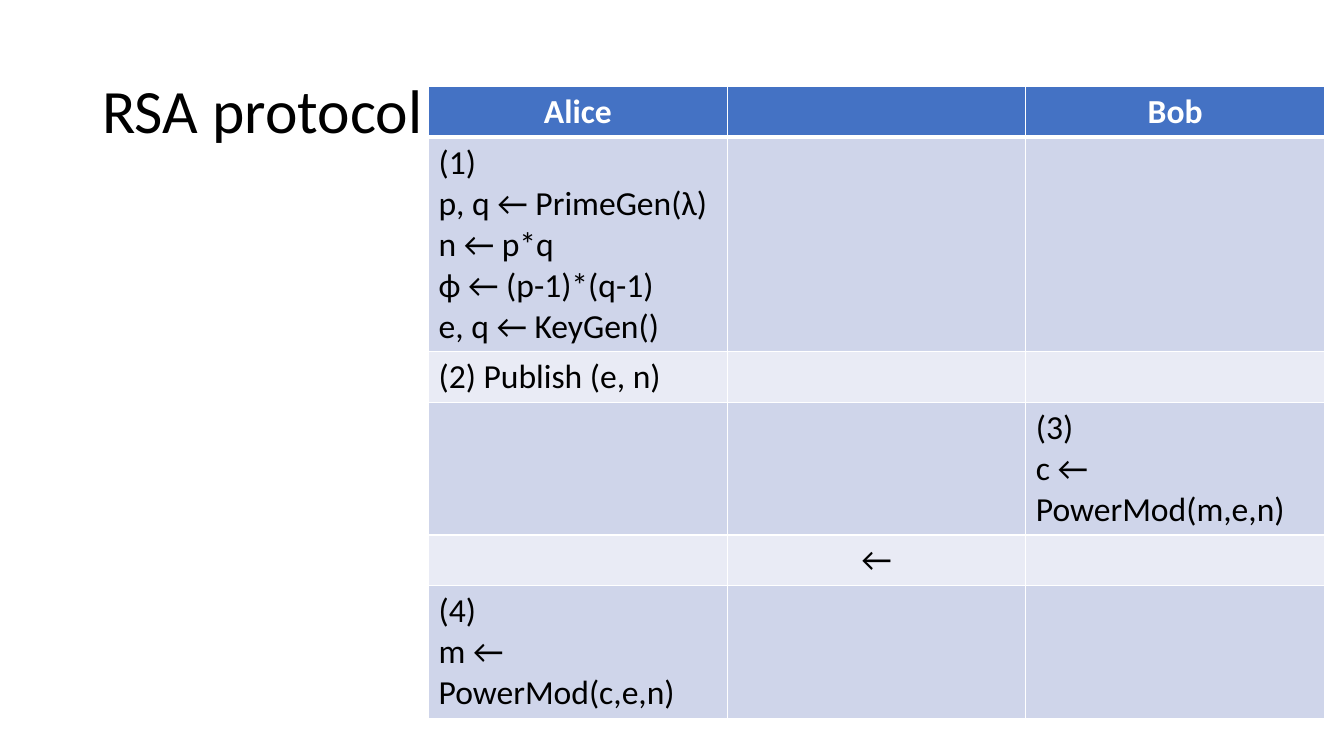
from lxml.etree import SubElement
from pptx import Presentation
from pptx.dml.color import RGBColor as RGB
from pptx.enum.text import MSO_ANCHOR as Anchor, PP_ALIGN as Align
from pptx.oxml.ns import qn
from pptx.util import Cm, Pt

FONT = "Calibri"
COLORS = {"text": "000000", "white": "FFFFFF", "header": "4472C4",
          "band_dark": "CFD5EA", "band_light": "E9EBF5"}
LINE_H, CELL_PAD = 1.03, 0.25

# Each row: lines of text it takes up, then the Alice, channel and Bob cells
STEPS = [
    (1, "Alice", "", "Bob"),
    (5, "(1)\np, q ← PrimeGen(λ)\nn ← p*q\nϕ ← (p-1)*(q-1)\ne, q ← KeyGen()", "", ""),
    (1, "(2) Publish (e, n)", "", ""),
    (3, "", "", "(3)\nc ← PowerMod(m,e,n)"),
    (1, "", "←", ""),
    (3, "(4)\nm ← PowerMod(c,e,n)", "", ""),
]


def set_font(p, size, color, bold=False):
    f = p.font
    f.name, f.size, f.bold = FONT, Pt(size), bold
    f.color.rgb = RGB.from_string(COLORS[color])


def set_borders(cell, bottom, top):
    """Draw white cell edges; bottom and top widths are in points."""
    tc_pr = cell._tc.get_or_add_tcPr()
    for side, width in (("L", 1), ("R", 1), ("T", top), ("B", bottom)):
        ln = SubElement(tc_pr, qn(f"a:ln{side}"), w=str(Pt(width)))
        fill = SubElement(ln, qn("a:solidFill"))
        SubElement(fill, qn("a:srgbClr"), val=COLORS["white"])


def add_title(s, text, x, y, w, h):
    tf = s.shapes.add_textbox(Cm(x), Cm(y), Cm(w), Cm(h)).text_frame
    tf.word_wrap = True
    tf.vertical_anchor = Anchor.MIDDLE
    p = tf.paragraphs[0]
    p.text = text
    p.line_spacing = 0.9
    set_font(p, 44, "text")


def fill_cell(cell, text, row, col):
    header = row == 0
    set_borders(cell, bottom=3 if header else 1, top=3 if row == 1 else 1)
    band = "header" if header else "band_dark" if row % 2 else "band_light"
    cell.fill.solid()
    cell.fill.fore_color.rgb = RGB.from_string(COLORS[band])
    cell.text = text
    for p in cell.text_frame.paragraphs:
        p.alignment = Align.CENTER if header or col == 1 else Align.LEFT
        set_font(p, 24, "white" if header else "text", bold=header)


def add_protocol_table(s, steps, x, y, w):
    heights = [CELL_PAD + LINE_H * lines for lines, *_ in steps]
    table = s.shapes.add_table(len(steps), 3, Cm(x), Cm(y), Cm(w),
                               Cm(sum(heights))).table
    for column in table.columns:
        column.width = Cm(w / 3)
    for i, (_, *texts) in enumerate(steps):
        table.rows[i].height = Cm(heights[i])
        for j, text in enumerate(texts):
            fill_cell(table.cell(i, j), text, i, j)


def main():
    prs = Presentation()
    prs.slide_width, prs.slide_height = Cm(33.87), Cm(19.05)
    s = prs.slides.add_slide(prs.slide_layouts[6])
    add_title(s, "RSA protocol", 2.33, 1.01, 29.21, 3.68)
    add_protocol_table(s, STEPS, 10.8, 2.18, 22.58)
    prs.save("out.pptx")


if __name__ == "__main__":
    main()
